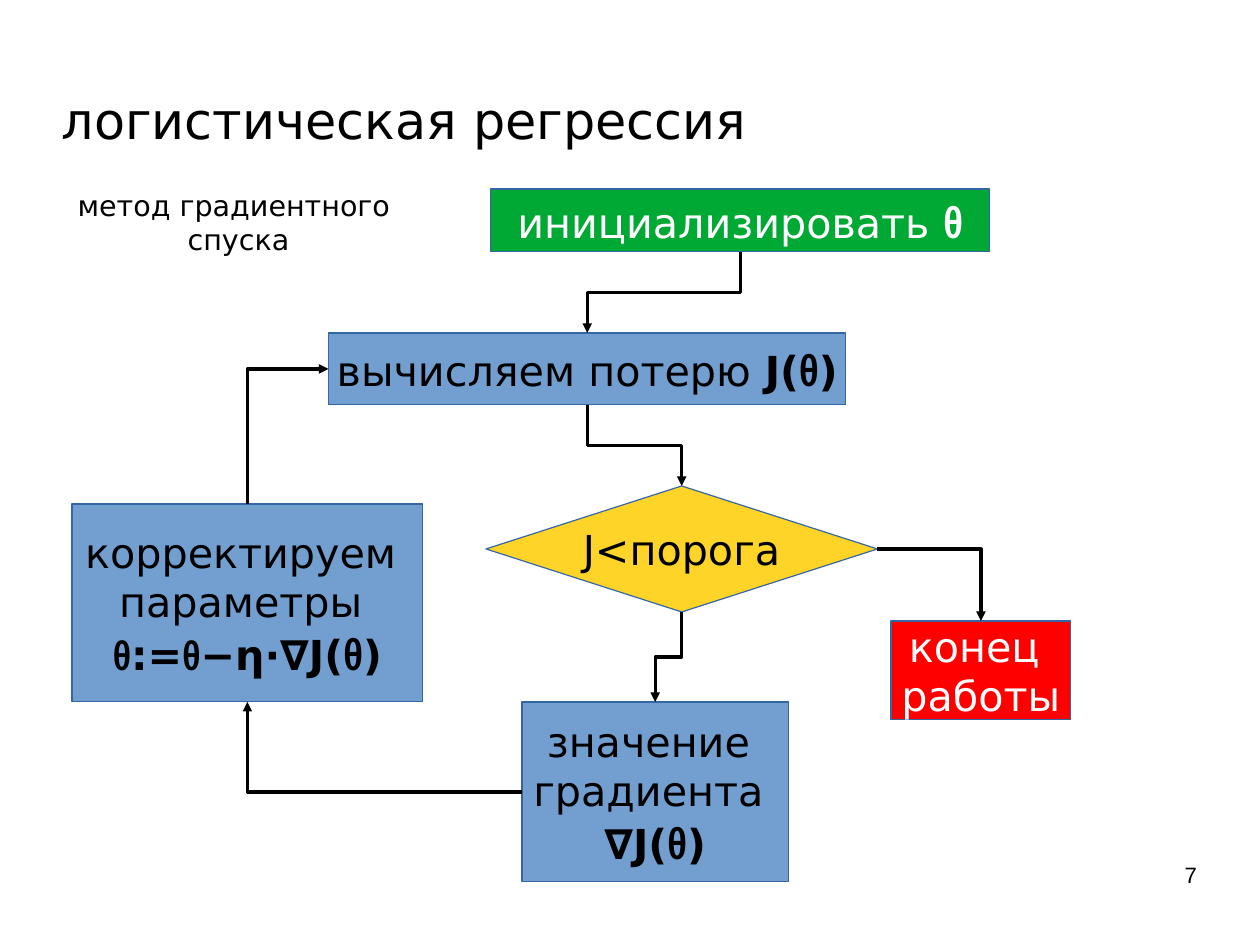
import pptx
import pptx.dml.color
import pptx.enum.shapes
import pptx.enum.text
import pptx.oxml
import pptx.oxml.ns
import pptx.util

Cm = pptx.util.Cm
Pt = pptx.util.Pt
ALIGN = pptx.enum.text.PP_ALIGN
ANCHOR = pptx.enum.text.MSO_ANCHOR
SHAPE = pptx.enum.shapes.MSO_SHAPE
TOP, LEFT, BOTTOM, RIGHT = range(4)

BLUE, GREEN, YELLOW, RED = "729FCF", "00A933", "FFD428", "FF0000"
BLACK, WHITE, OUTLINE = "000000", "FFFFFF", "3465A4"


def color(value):
    return pptx.dml.color.RGBColor.from_string(value)


def add_span(para, text, size=26, font="DejaVu Sans", bold=False, ink=BLACK):
    span = para.add_run()
    span.text = text
    span.font.size = Pt(size)
    span.font.name = font
    span.font.bold = bold
    span.font.color.rgb = color(ink)


def bold(text):
    return text, {"bold": True}


def theta(size=28):
    return "θ", {"bold": True, "font": "Arial Narrow", "size": size}


class FlowPage:
    def __init__(self, deck):
        self.page = deck.slides.add_slide(deck.slide_layouts[0])

    def place(self, box, left, top, width, height):
        box.left, box.top = Cm(left), Cm(top)
        box.width, box.height = Cm(width), Cm(height)

    def label(self, box, lines, align, anchor=ANCHOR.MIDDLE, **style):
        frame = box.text_frame
        frame.margin_left = frame.margin_right = 0
        frame.margin_top = frame.margin_bottom = 0
        frame.word_wrap = True
        frame.auto_size = pptx.enum.text.MSO_AUTO_SIZE.NONE
        frame.vertical_anchor = anchor
        para = frame.paragraphs[0]
        para.alignment = align
        para.space_before = Pt(0)
        for index, line in enumerate(lines):
            if index:
                para.add_line_break()
            add_span(para, line, **style)

    def title(self, text, *area):
        box = self.page.shapes.title
        self.place(box, *area)
        self.label(box, [text], ALIGN.LEFT, size=32)

    def subtitle(self, lines, *area):
        box = self.page.placeholders[1]
        self.place(box, *area)
        self.label(box, lines, ALIGN.CENTER, size=18)

    def number(self, text, *area):
        box = self.page.shapes.add_textbox(*map(Cm, area))
        self.label(box, [text], ALIGN.RIGHT, ANCHOR.TOP, size=14, font="Arial")

    def step(self, area, fill, paragraphs, ink=BLACK, kind=SHAPE.RECTANGLE):
        box = self.page.shapes.add_shape(kind, *map(Cm, area))
        box.shadow.inherit = False
        box.fill.solid()
        box.fill.fore_color.rgb = color(fill)
        box.line.color.rgb = color(OUTLINE)
        box.line.width = Pt(0)
        frame = box.text_frame
        frame.word_wrap = False
        frame.vertical_anchor = ANCHOR.MIDDLE
        for index, spans in enumerate(paragraphs):
            para = frame.add_paragraph() if index else frame.paragraphs[0]
            para.alignment = ALIGN.CENTER
            for span in spans:
                text, style = (span, {}) if isinstance(span, str) else span
                add_span(para, text, ink=ink, **style)
        return box

    def arrow(self, source, source_side, target, target_side):
        elbow = pptx.enum.shapes.MSO_CONNECTOR.ELBOW
        line = self.page.shapes.add_connector(elbow, 0, 0, 0, 0)
        line.begin_connect(source, source_side)
        line.end_connect(target, target_side)
        line.line.color.rgb = color(BLACK)
        line.line.width = Pt(0)
        properties = line._element.spPr
        if source_side % 2 != target_side % 2:
            geometry = properties.find(pptx.oxml.ns.qn("a:prstGeom"))
            geometry.set("prst", "bentConnector2")
        if source_side in (TOP, BOTTOM):
            self.turn(line, properties.find(pptx.oxml.ns.qn("a:xfrm")))
        namespace = pptx.oxml.ns.nsdecls("a")
        head = pptx.oxml.parse_xml(f'<a:tailEnd {namespace} type="triangle"/>')
        line.line._get_or_add_ln().append(head)
        properties.append(pptx.oxml.parse_xml(f"<a:effectLst {namespace}/>"))

    def turn(self, line, frame):
        rightward = line.end_x > line.begin_x
        upward = line.end_y < line.begin_y
        width, height = line.width, line.height
        shift = (width - height) // 2
        line.left, line.top = line.left + shift, line.top - shift
        line.width, line.height = height, width
        frame.set("rot", "5400000")
        frame.set("flipH", str(int(upward)))
        frame.set("flipV", str(int(rightward)))


def main():
    deck = pptx.Presentation()
    deck.slide_width, deck.slide_height = Cm(28), Cm(21)
    flow = FlowPage(deck)
    flow.title("логистическая регрессия", 1.37, 1.83, 23.4, 1.63)
    flow.subtitle(["метод градиентного ", "спуска"], 1.6, 4.2, 7.4, 1.47)

    start = flow.step((10.9, 4.2, 11.1, 1.4), GREEN,
                      [["инициализировать ", theta()]], ink=WHITE)
    loss = flow.step((7.3, 7.4, 11.5, 1.6), BLUE,
                     [["вычисляем потерю ", bold("J("), theta(), bold(")")]])
    check = flow.step((10.8, 10.8, 8.7, 2.8), YELLOW,
                      [["J<порога"]], kind=SHAPE.DIAMOND)
    finish = flow.step((19.8, 13.8, 4, 2.2), RED,
                       [["конец "], ["работы"]], ink=WHITE)
    gradient = flow.step((11.6, 15.6, 5.92, 4), BLUE,
                         [["значение "], ["градиента "],
                          [bold("∇J("), theta(), bold(")")]])
    update = flow.step((1.6, 11.2, 7.8, 4.4), BLUE,
                       [["корректируем "], ["параметры "],
                        [theta(26), bold(":="), theta(26), bold("−η⋅∇J("),
                         theta(), bold(")")]])

    flow.arrow(start, BOTTOM, loss, TOP)
    flow.arrow(loss, BOTTOM, check, TOP)
    flow.arrow(check, RIGHT, finish, TOP)
    flow.arrow(check, BOTTOM, gradient, TOP)
    flow.arrow(gradient, LEFT, update, BOTTOM)
    flow.arrow(update, TOP, loss, LEFT)
    flow.number("7", 20.07, 19.13, 6.53, 1.45)
    deck.save("out.pptx")


if __name__ == "__main__":
    main()
